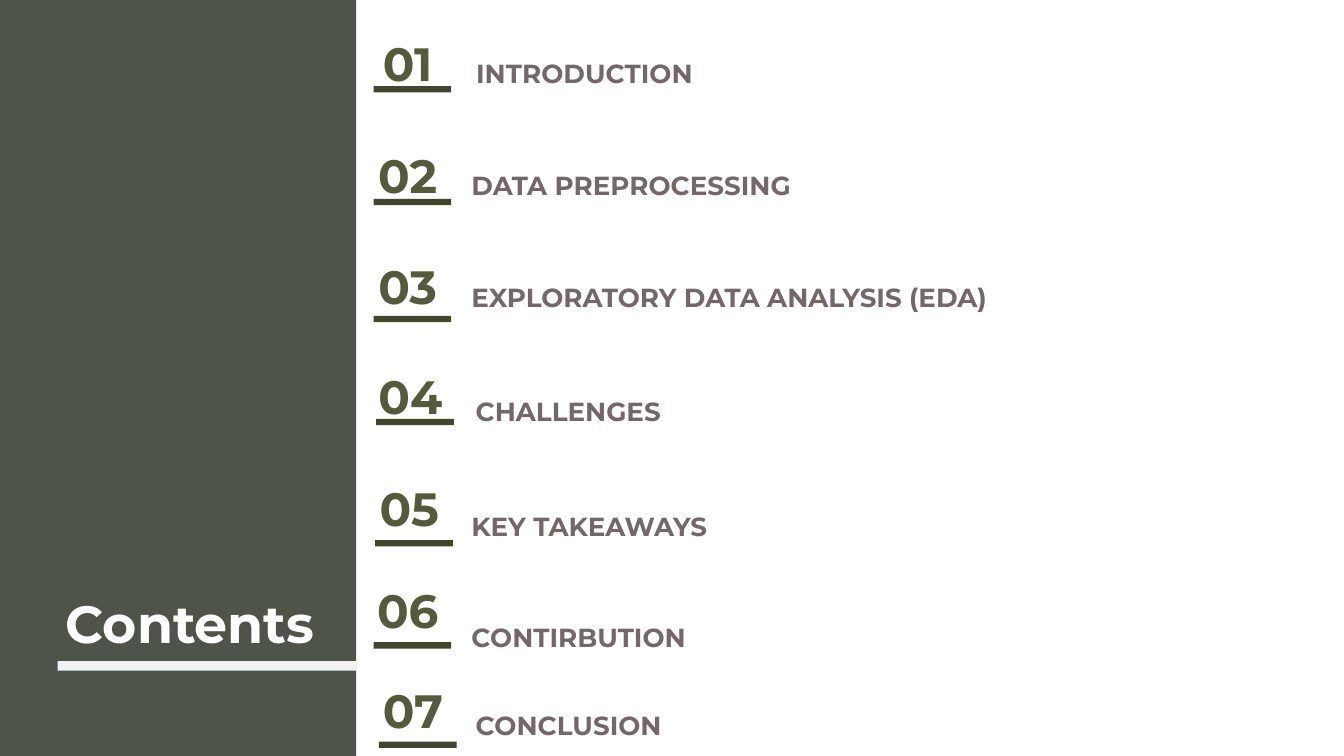
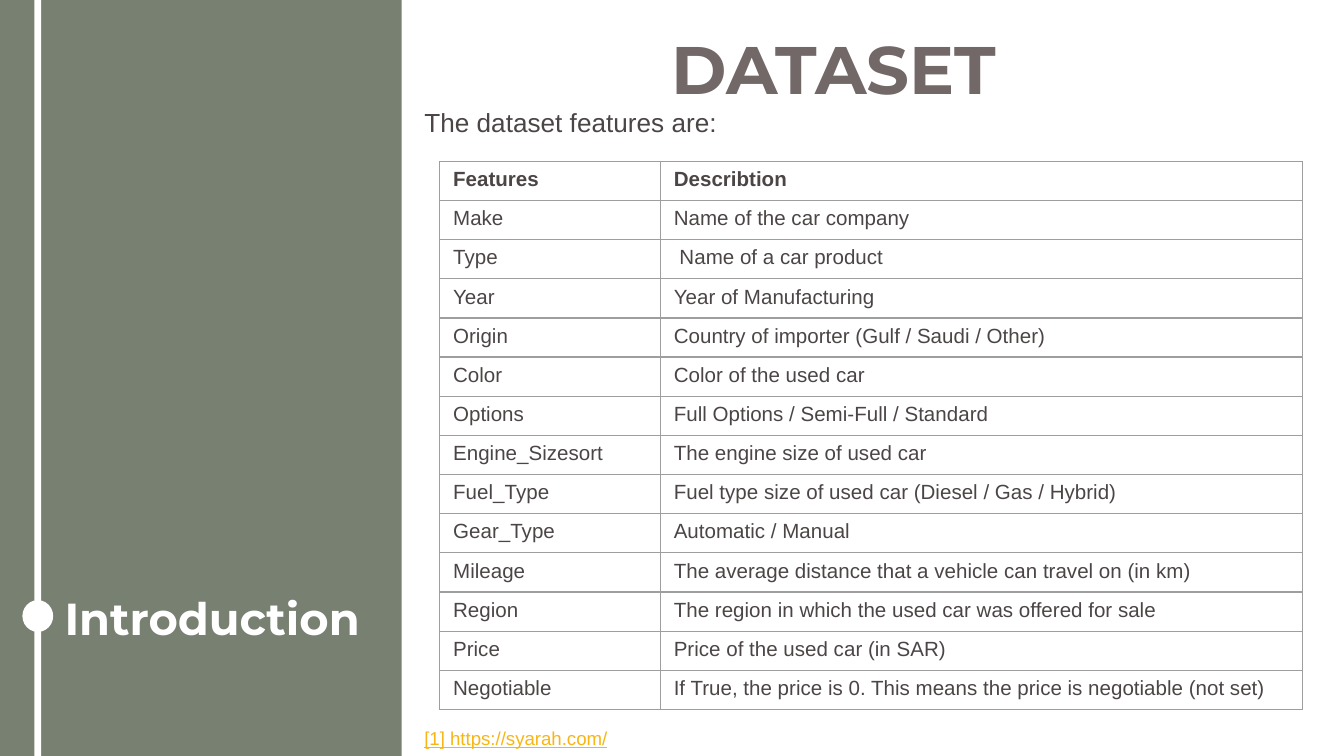
from dataclasses import dataclass

from lxml.etree import SubElement
from pptx import Presentation
from pptx.dml.color import RGBColor as RGB
from pptx.enum.shapes import MSO_SHAPE as SHAPE
from pptx.enum.text import MSO_ANCHOR as ANCHOR, PP_ALIGN as ALIGN
from pptx.oxml.ns import qn
from pptx.util import Cm, Pt


@dataclass(frozen=True)
class Theme:
    heading_font: str = "Montserrat"
    body_font: str = "Arial"
    white: str = "FFFFFF"
    dark_band: str = "4E5449"
    sage_band: str = "788071"
    title_rule: str = "F2F2F2"
    number: str = "565A3C"
    number_rule: str = "42462F"
    label: str = "726868"
    body: str = "4C4545"
    grid: str = "9E9E9E"
    link: str = "F7B615"
    heading_size: int = 36
    contents_size: int = 28
    number_size: int = 25
    section_size: int = 24
    label_size: int = 14
    table_size: int = 11
    link_size: int = 10


T = Theme()


def write(tf, text, size=T.label_size, color=T.label, font=T.heading_font, bold=True,
          underline=False, align=ALIGN.LEFT, anchor=ANCHOR.MIDDLE, indent=0.25):
    """Fill a text frame with one formatted paragraph; anchor=None leaves the frame alone."""
    if anchor is not None:
        tf.word_wrap = True
        tf.vertical_anchor = anchor
        tf.margin_left, tf.margin_right = Cm(indent), Cm(0.25)
        tf.margin_top = tf.margin_bottom = Cm(0.25 if anchor == ANCHOR.BOTTOM else 0.13)
    p = tf.paragraphs[0]
    p.alignment = align
    r = p.add_run()
    r.text = text
    r.font.name, r.font.size = font, Pt(size)
    r.font.bold, r.font.underline = bold, underline
    r.font.color.rgb = RGB.from_string(color)


def add_block(s, left, top, width, height, color, kind=SHAPE.RECTANGLE):
    sp = s.shapes.add_shape(kind, Cm(left), Cm(top), Cm(width), Cm(height))
    sp.shadow.inherit = False
    sp.fill.solid()
    sp.fill.fore_color.rgb = RGB.from_string(color)
    sp.line.fill.background()
    return sp


prs = Presentation()
prs.slide_width, prs.slide_height = Cm(25.4), Cm(14.29)
blank = prs.slide_layouts[6]

# Contents: number left and top, rule top, label text, label box, label indent
entries = [
    (6.55, 0.48, 1.63, "INTRODUCTION", (8.43, 0.71, 5.38, 1.35), 0.57),
    (6.55, 2.59, 3.76, "DATA PREPROCESSING", (8.66, 3.07, 7.7, 0.86), 0.25),
    (6.55, 4.7, 5.97, "EXPLORATORY DATA ANALYSIS (EDA)", (8.66, 5.18, 10.49, 0.86), 0.25),
    (6.6, 6.78, 7.92, "CHALLENGES", (8.74, 7.34, 10.41, 0.86), 0.25),
    (6.58, 8.89, 10.21, "KEY TAKEAWAYS", (8.66, 9.27, 10.03, 1.35), 0.25),
    (6.55, 10.82, 12.14, "CONTIRBUTION", (8.66, 11.61, 4.9, 0.86), 0.25),
    (6.65, 12.7, 14.02, "CONCLUSION", (8.74, 13.28, 4.22, 0.86), 0.25),
]
s = prs.slides.add_slide(blank)
for i, (left, top, rule_top, label, box, indent) in enumerate(entries, 1):
    number = s.shapes.add_textbox(Cm(left), Cm(top), Cm(2.31), Cm(1.42))
    write(number.text_frame, f"{i:02}", size=T.number_size, color=T.number, align=ALIGN.CENTER)
    add_block(s, left + 0.51, rule_top, 1.47, 0.12, T.number_rule)
    write(s.shapes.add_textbox(*map(Cm, box)).text_frame, label, indent=indent)

add_block(s, -0.86, -0.28, 7.59, 14.83, T.dark_band)
title = s.shapes.add_textbox(Cm(0.86), Cm(9.6), Cm(5.33), Cm(3.02))
write(title.text_frame, "Contents", size=T.contents_size, color=T.white,
      align=ALIGN.RIGHT, anchor=ANCHOR.BOTTOM)
add_block(s, 1.09, 12.5, 5.64, 0.18, T.title_rule)

# Introduction: dataset features
s = prs.slides.add_slide(blank)
add_block(s, -0.56, -0.3, 8.15, 14.83, T.sage_band)
title = s.shapes.add_textbox(Cm(0.97), Cm(9.42), Cm(7.34), Cm(3.02))
write(title.text_frame, "Introduction", size=T.section_size, color=T.white, anchor=ANCHOR.BOTTOM)
add_block(s, 0.65, -0.29, 0.13, 14.83, T.white)
dot = add_block(s, 0.46, 11.38, 0.51, 0.53, T.white, SHAPE.OVAL)
dot.line.color.rgb = RGB.from_string(T.white)
dot.line.width = Pt(2)

heading = s.shapes.add_textbox(Cm(12.45), Cm(0.38), Cm(6.9), Cm(1.8))
write(heading.text_frame, "DATASET", size=T.heading_size)
intro = s.shapes.add_textbox(Cm(7.77), Cm(1.27), Cm(17.15), Cm(2.06))
write(intro.text_frame, "The dataset features are:", color=T.body, font=T.body_font, bold=False)

features = [
    ("Features", "Describtion"),
    ("Make", "Name of the car company"),
    ("Type", " Name of a car product"),
    ("Year", "Year of Manufacturing"),
    ("Origin", "Country of importer (Gulf / Saudi / Other)"),
    ("Color", "Color of the used car"),
    ("Options", "Full Options / Semi-Full / Standard"),
    ("Engine_Sizesort", "The engine size of used car"),
    ("Fuel_Type", "Fuel type size of used car (Diesel / Gas / Hybrid)"),
    ("Gear_Type", "Automatic / Manual"),
    ("Mileage", "The average distance that a vehicle can travel on (in km)"),
    ("Region", "The region in which the used car was offered for sale"),
    ("Price", "Price of the used car (in SAR)"),
    ("Negotiable", "If True, the price is 0. This means the price is negotiable (not set)"),
]
row_height = 0.74
table = s.shapes.add_table(len(features), 2, Cm(8.31), Cm(3.05), Cm(16.31),
                           Cm(row_height * len(features))).table
table.first_row = table.horz_banding = False
table.columns[0].width, table.columns[1].width = Cm(4.17), Cm(12.14)
for i, row in enumerate(features):
    table.rows[i].height = Cm(row_height)
    for j, text in enumerate(row):
        cell = table.cell(i, j)
        write(cell.text_frame, text, size=T.table_size, color=T.body, font=T.body_font,
              bold=i == 0, anchor=None)
        tcPr = cell._tc.get_or_add_tcPr()
        for side in ("a:lnL", "a:lnR", "a:lnT", "a:lnB"):
            ln = SubElement(tcPr, qn(side), w=str(Pt(0.75)))
            SubElement(SubElement(ln, qn("a:solidFill")), qn("a:srgbClr"), val=T.grid)
        cell.fill.background()

source = s.shapes.add_textbox(Cm(7.77), Cm(13.61), Cm(4.2), Cm(0.68))
write(source.text_frame, "[1] https://syarah.com/", size=T.link_size, color=T.link,
      font=T.body_font, bold=False, underline=True)

prs.save("out.pptx")
